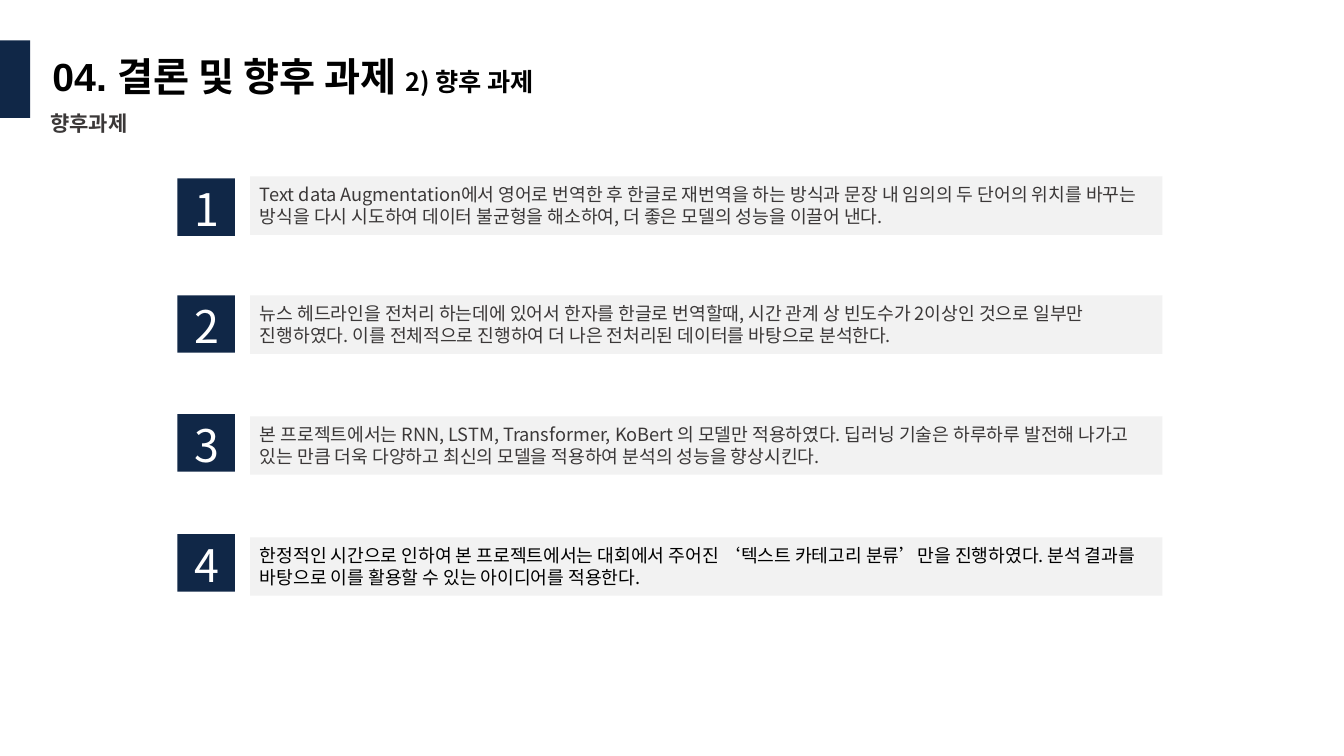
from lxml.etree import SubElement
from pptx import Presentation
from pptx.dml.color import RGBColor
from pptx.enum.shapes import MSO_SHAPE as SHAPE
from pptx.enum.text import MSO_ANCHOR as ANCHOR, MSO_AUTO_SIZE as FIT, PP_ALIGN as ALIGN
from pptx.oxml.ns import qn
from pptx.util import Pt

TITLE = ("04. ", "결론 및 향후 과제 ", "2) 향후 과제")
SUBTITLE = "향후과제"
# tile top, bar top, text
TASKS = [
    (177, 175, "Text data Augmentation에서 영어로 번역한 후 한글로 재번역을 하는 방식과 문장 내 임의의 "
               "두 단어의 위치를 바꾸는 방식을 다시 시도하여 데이터 불균형을 해소하여, 더 좋은 모델의 "
               "성능을 이끌어 낸다."),
    (293, 293, "뉴스 헤드라인을 전처리 하는데에 있어서 한자를 한글로 번역할때, 시간 관계 상 빈도수가 "
               "2이상인 것으로 일부만 진행하였다. 이를 전체적으로 진행하여 더 나은 전처리된 데이터를 "
               "바탕으로 분석한다."),
    (411, 413, "본 프로젝트에서는 RNN, LSTM, Transformer, KoBert 의 모델만 적용하였다. 딥러닝 기술은 "
               "하루하루 발전해 나가고 있는 만큼 더욱 다양하고 최신의 모델을 적용하여 분석의 성능을 "
               "향상시킨다."),
    (530, 533, "한정적인 시간으로 인하여 본 프로젝트에서는 대회에서 주어진 ‘텍스트 카테고리 분류’만을 "
               "진행하였다. 분석 결과를 바탕으로 이를 활용할 수 있는 아이디어를 적용한다."),
]


class Theme:
    navy, bar, white = "102747", "F2F2F2", "FFFFFF"
    black, grey = "000000", "3B3838"
    latin, korean = "Arial", "Noto Sans CJK KR"
    title, section, subtitle, number, body = 28, 18, 15, 32, 13


PX = 9144  # 100 px to the inch
TILE_X, TILE = 176, 57
BAR_X, BAR_W, BAR_H = 248, 905, 58
NUMBER_X, NUMBER_DY, NUMBER_W, NUMBER_H = 191, 3, 28, 54


def px(*lengths):
    return [n * PX for n in lengths]


def add_rect(shapes, x, y, w, h, color):
    sp = shapes.add_shape(SHAPE.RECTANGLE, *px(x, y, w, h))
    sp.shadow.inherit = False
    sp.fill.solid()
    sp.fill.fore_color.rgb = RGBColor.from_string(color)
    sp.line.fill.background()
    return sp


def add_box(shapes, x, y, w, h, anchor=ANCHOR.TOP, wrap=True, fit=FIT.NONE):
    tf = shapes.add_textbox(*px(x, y, w, h)).text_frame
    tf.margin_left = tf.margin_top = tf.margin_right = tf.margin_bottom = 0
    tf.word_wrap, tf.auto_size, tf.vertical_anchor = wrap, fit, anchor
    return tf


def add_text(p, text, size, color=Theme.black, font=Theme.korean, bold=False, align=ALIGN.LEFT):
    p.alignment = align
    r = p.add_run()
    r.text = text
    r.font.size, r.font.bold, r.font.name = Pt(size), bold, font
    r.font.color.rgb = RGBColor.from_string(color)
    SubElement(r.font._element, qn("a:ea"), typeface=font)


def add_header(shapes):
    p = add_box(shapes, 52, 40, 1231, 77, anchor=ANCHOR.MIDDLE).paragraphs[0]
    p.line_spacing = 0.9
    sizes = (Theme.title, Theme.title, Theme.section)
    fonts = (Theme.latin, Theme.korean, Theme.korean)
    for text, size, font in zip(TITLE, sizes, fonts):
        add_text(p, text, size, font=font, bold=True)
    add_rect(shapes, 0, 40, 30, 77, Theme.navy)
    p = add_box(shapes, 50, 110, 1090, 25, fit=FIT.SHAPE_TO_FIT_TEXT).paragraphs[0]
    p.space_after = Pt(12)
    add_text(p, SUBTITLE, Theme.subtitle, color=Theme.grey, bold=True)


def add_task(shapes, number, tile_y, bar_y, text, color):
    add_rect(shapes, TILE_X, tile_y, TILE, TILE, Theme.navy)
    tf = add_box(shapes, NUMBER_X, tile_y + NUMBER_DY, NUMBER_W, NUMBER_H,
                 anchor=ANCHOR.MIDDLE, wrap=False, fit=FIT.SHAPE_TO_FIT_TEXT)
    add_text(tf.paragraphs[0], str(number), Theme.number, color=Theme.white, align=ALIGN.CENTER)
    tf = add_rect(shapes, BAR_X, bar_y, BAR_W, BAR_H, Theme.bar).text_frame
    tf.word_wrap, tf.vertical_anchor = True, ANCHOR.MIDDLE
    add_text(tf.paragraphs[0], text, Theme.body, color=color)


def main():
    prs = Presentation()
    prs.slide_width, prs.slide_height = px(1333, 750)
    s = prs.slides.add_slide(prs.slide_layouts[6])
    add_header(s.shapes)
    for number, (tile_y, bar_y, text) in enumerate(TASKS, 1):
        color = Theme.black if number == len(TASKS) else Theme.grey
        add_task(s.shapes.add_group_shape().shapes, number, tile_y, bar_y, text, color)
    prs.save("out.pptx")


if __name__ == "__main__":
    main()
